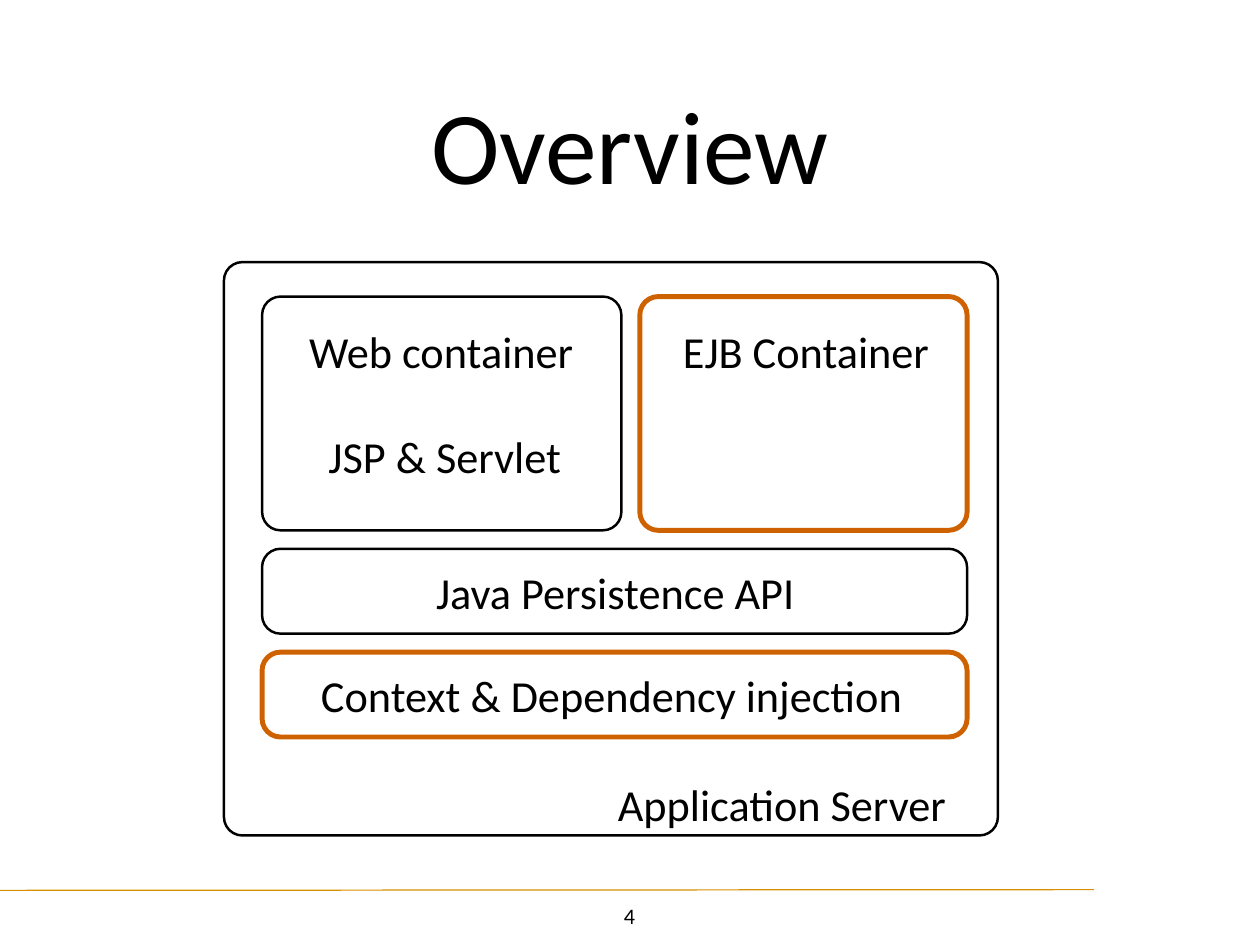
from typing import NamedTuple

from lxml import etree
from pptx import Presentation
from pptx.dml.color import RGBColor
from pptx.enum.shapes import MSO_CONNECTOR, MSO_SHAPE
from pptx.enum.text import MSO_ANCHOR, PP_ALIGN
from pptx.oxml.ns import qn
from pptx.util import Pt

ROUNDED = MSO_SHAPE.ROUNDED_RECTANGLE
STRAIGHT = MSO_CONNECTOR.STRAIGHT
CENTER = PP_ALIGN.CENTER
MIDDLE, TOP = MSO_ANCHOR.MIDDLE, MSO_ANCHOR.TOP

FONT = "Calibri"
BLACK, ORANGE, GOLD = "000000", "CF6200", "D79000"
RADIUS = 15
INSET = 4

# Grid of the server's inner boxes
LEFT, WIDTH, GAP = 213, 573, 15
CONTAINER_TOP, CONTAINER_H, LAYER_H = 241, 190, 69
WEB_W = 292
EJB_LEFT = LEFT + WEB_W + GAP
JPA_TOP = CONTAINER_TOP + CONTAINER_H + GAP
CDI_TOP = JPA_TOP + LAYER_H + GAP


class Box(NamedTuple):
    left: float
    top: float
    width: float
    height: float
    color: str = BLACK
    weight: float = 2


class Label(NamedTuple):
    text: str
    left: float
    top: float
    width: float
    height: float
    size: float = 36
    anchor: MSO_ANCHOR = MIDDLE
    wrap: bool = True


BOXES = [
    Box(EJB_LEFT, CONTAINER_TOP, LEFT + WIDTH - EJB_LEFT, CONTAINER_H, ORANGE, 4),
    Box(182, 213, 629, 466),
    Box(LEFT, CONTAINER_TOP, WEB_W, CONTAINER_H),
    Box(LEFT, CDI_TOP, WIDTH, LAYER_H, ORANGE, 4),
    Box(LEFT, JPA_TOP, WIDTH, LAYER_H),
]

LABELS = [
    Label("Overview", 100, 20, 824, 192, size=84),
    Label("EJB Container", 531, 261, 248, 48),
    Label("Application Server", 465, 615, 341, 76),
    Label("Web container", 214, 261, 289, 48),
    Label("JSP & Servlet", 236, 346, 251, 48),
    Label("Context & Dependency injection", 204, 536, 586, 57),
    Label("Java Persistence API", 320, 452, 360, 57),
    Label("4", 498, 729, 27, 29, size=18, anchor=TOP, wrap=False),
]


def rgb(color: str) -> RGBColor:
    return RGBColor.from_string(color)


def draw_box(s, box: Box) -> None:
    sp = s.shapes.add_shape(ROUNDED, Pt(box.left), Pt(box.top),
                            Pt(box.width), Pt(box.height))
    sp.adjustments[0] = RADIUS / min(box.width, box.height)
    sp.shadow.inherit = False
    sp.fill.background()
    sp.line.color.rgb = rgb(box.color)
    sp.line.width = Pt(box.weight)


def draw_label(s, label: Label) -> None:
    sp = s.shapes.add_textbox(Pt(label.left), Pt(label.top),
                              Pt(label.width), Pt(label.height))
    tf = sp.text_frame
    tf.text = label.text
    tf.word_wrap = label.wrap
    tf.vertical_anchor = label.anchor
    tf.margin_left = tf.margin_right = Pt(INSET)
    tf.margin_top = tf.margin_bottom = Pt(INSET)
    p = tf.paragraphs[0]
    p.alignment = CENTER
    r = p.runs[0]
    r.font.name = FONT
    r.font.size = Pt(label.size)
    r.font.color.rgb = rgb(BLACK)


def draw_rule(s, x1: float, y1: float, x2: float, y2: float) -> None:
    rule = s.shapes.add_connector(STRAIGHT, Pt(x1), Pt(y1), Pt(x2), Pt(y2))
    rule.line.color.rgb = rgb(GOLD)
    rule.line.width = Pt(1)
    etree.SubElement(rule._element.spPr, qn("a:effectLst"))


prs = Presentation()
prs.slide_width, prs.slide_height = Pt(1024), Pt(768)
s = prs.slides.add_slide(prs.slide_layouts[6])

# Footer rule
draw_rule(s, 0, 723.6, 889, 723)

# Server and its parts
for box in BOXES:
    draw_box(s, box)

# Title, part names and slide number
for label in LABELS:
    draw_label(s, label)

prs.save("out.pptx")
